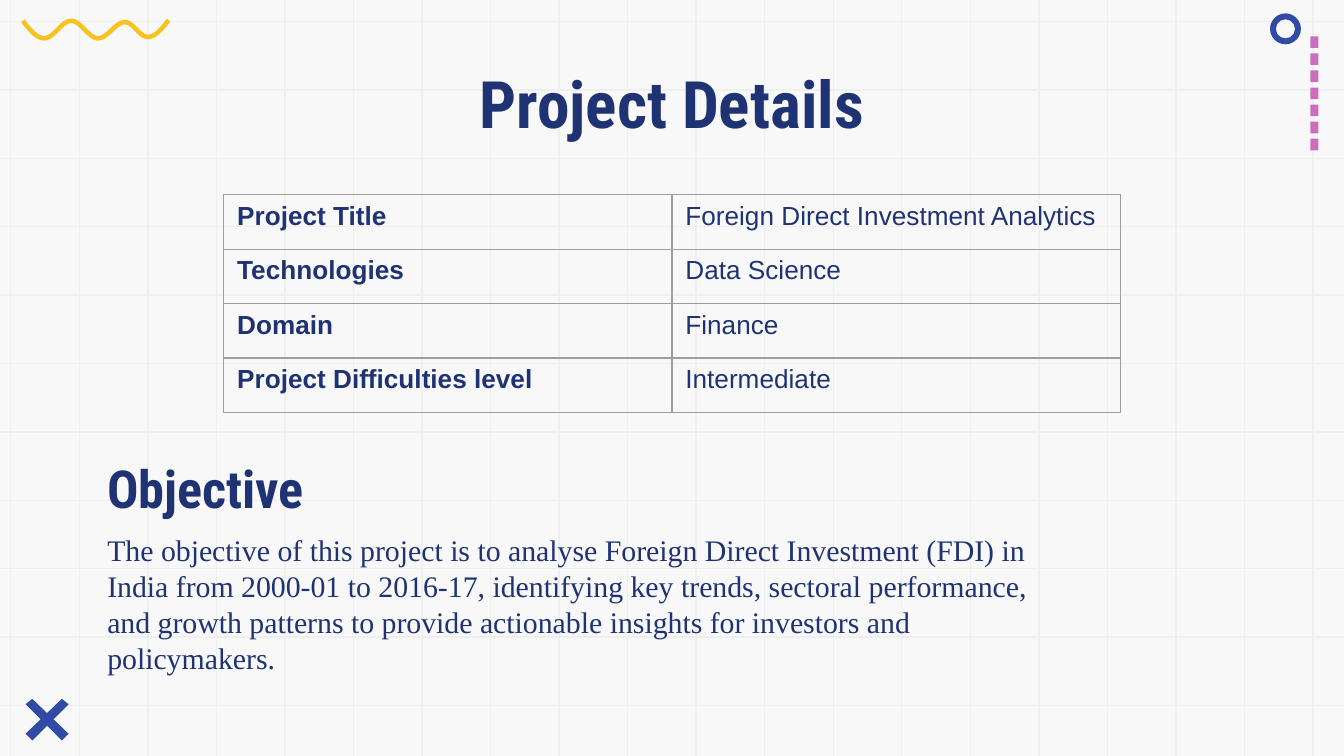
import math

from lxml import etree
from pptx import Presentation
from pptx.dml.color import RGBColor
from pptx.enum.shapes import MSO_CONNECTOR, MSO_SHAPE
from pptx.enum.text import MSO_ANCHOR, MSO_AUTO_SIZE, PP_ALIGN
from pptx.oxml.ns import qn
from pptx.util import Inches, Pt

STRAIGHT = MSO_CONNECTOR.STRAIGHT
RECTANGLE, DONUT = MSO_SHAPE.RECTANGLE, MSO_SHAPE.DONUT
TOP, NO_AUTOFIT = MSO_ANCHOR.TOP, MSO_AUTO_SIZE.NONE
LEFT, CENTER = PP_ALIGN.LEFT, PP_ALIGN.CENTER

PAPER = RGBColor(0xF8, 0xF8, 0xF8)
GRID_GRAY = RGBColor(0xEF, 0xEF, 0xEF)
BORDER_GRAY = RGBColor(0x9E, 0x9E, 0x9E)
NAVY = RGBColor(0x1F, 0x33, 0x74)
BLUE = RGBColor(0x30, 0x4B, 0xA6)
PINK = RGBColor(0xCB, 0x6E, 0xBE)
YELLOW = RGBColor(0xF8, 0xC2, 0x20)

HEADING_FONT, TABLE_FONT, BODY_FONT = "Roboto Condensed", "Arial", "Times New Roman"

COLUMNS, ROWS = 100, 56.25
UNIT = Inches(0.1)  # one square grid cell

DETAILS = [
    ("Project Title", "Foreign Direct Investment Analytics"),
    ("Technologies", "Data Science"),
    ("Domain", "Finance"),
    ("Project Difficulties level", "Intermediate"),
]
OBJECTIVE = (
    "The objective of this project is to analyse Foreign Direct Investment (FDI) in "
    "India from 2000-01 to 2016-17, identifying key trends, sectoral performance, "
    "and growth patterns to provide actionable insights for investors and policymakers."
)


def grid(*lengths):
    """Turn grid columns or rows into slide lengths."""
    return [round(length * UNIT) for length in lengths]


def write_text(frame, text, font, size, bold=False, align=LEFT):
    paragraph = frame.paragraphs[0]
    paragraph.alignment = align
    paragraph.line_spacing = 1.0
    run = paragraph.add_run()
    run.text = text
    run.font.name = font
    run.font.size = Pt(size)
    run.font.bold = bold
    run.font.color.rgb = NAVY


def add_cell_borders(cell):
    properties = cell._tc.get_or_add_tcPr()
    for index, side in enumerate(("a:lnL", "a:lnR", "a:lnT", "a:lnB")):
        line = etree.Element(qn(side), w=str(Pt(0.75)))
        fill = etree.SubElement(line, qn("a:solidFill"))
        etree.SubElement(fill, qn("a:srgbClr"), val=str(BORDER_GRAY))
        properties.insert(index, line)


def wave_points(extremes, steps=12):
    """Join alternating crests and troughs; the two outer arcs end on a slope."""
    points = [extremes[0]]
    last = len(extremes) - 2
    for index, ((x1, y1), (x2, y2)) in enumerate(zip(extremes, extremes[1:])):
        for step in range(1, steps + 1):
            share = step / steps
            if index == 0:
                rise = math.sin(share * math.pi / 2)
            elif index == last:
                rise = 1 - math.cos(share * math.pi / 2)
            else:
                rise = (1 - math.cos(share * math.pi)) / 2
            points.append((x1 + (x2 - x1) * share, y1 + (y2 - y1) * rise))
    return points


class SlideBuilder:
    """Holds the current slide and draws each kind of element in one style."""

    def __init__(self, presentation):
        self.slide = presentation.slides.add_slide(presentation.slide_layouts[5])
        self.shapes = self.slide.shapes
        self.slide.background.fill.solid()
        self.slide.background.fill.fore_color.rgb = PAPER

    def line(self, x1, y1, x2, y2):
        connector = self.shapes.add_connector(STRAIGHT, *grid(x1, y1, x2, y2))
        connector.line.color.rgb = GRID_GRAY
        connector.line.width = Pt(0.75)
        etree.SubElement(connector._element.spPr, qn("a:effectLst"))

    def paint(self, shape, color):
        shape.shadow.inherit = False
        shape.fill.solid()
        shape.fill.fore_color.rgb = color
        shape.line.fill.background()

    def shape(self, kind, left, top, width, height, color):
        shape = self.shapes.add_shape(kind, *grid(left, top, width, height))
        self.paint(shape, color)
        return shape

    def outline(self, points, closed):
        start, *others = [grid(*point) for point in points]
        builder = self.shapes.build_freeform(*start)
        builder.add_line_segments(others, close=closed)
        return builder.convert_to_shape()

    def polygon(self, points, color):
        self.paint(self.outline(points, closed=True), color)

    def curve(self, points, color, width):
        shape = self.outline(points, closed=False)
        shape.shadow.inherit = False
        shape.fill.background()
        shape.line.color.rgb = color
        shape.line.width = Pt(width)

    def title(self, text, left, top, width, height, **text_format):
        title = self.shapes.title
        title.left, title.top, title.width, title.height = grid(left, top, width, height)
        title._element.getparent().append(title._element)  # in front of the grid lines
        frame = title.text_frame
        frame.auto_size = NO_AUTOFIT
        frame.vertical_anchor = TOP
        frame.margin_left, frame.margin_top, frame.margin_right, frame.margin_bottom = grid(1, 1, 1, 1)
        write_text(frame, text, **text_format)

    def text(self, text, left, top, width, height, **text_format):
        frame = self.shapes.add_textbox(*grid(left, top, width, height)).text_frame
        frame.word_wrap = True
        write_text(frame, text, **text_format)

    def table(self, rows, left, top, width, row_height, **text_format):
        box = grid(left, top, width, row_height * len(rows))
        table = self.shapes.add_table(len(rows), len(rows[0]), *box).table
        table.first_row = table.horz_banding = False
        for row_index, row in enumerate(rows):
            for column_index, text in enumerate(row):
                cell = table.cell(row_index, column_index)
                cell.fill.background()
                add_cell_borders(cell)
                write_text(cell.text_frame, text, bold=column_index == 0, **text_format)


def draw_background(builder):
    for index in range(11):
        y = 1.6 + 5.09 * index
        builder.line(0, y, COLUMNS, y)
    for index in range(20):
        x = 0.8 + 5.1 * index
        builder.line(x, 0, x, ROWS)

    for index in range(7):
        builder.shape(RECTANGLE, 97.5, 2.7 + 1.27 * index, 0.6, 0.87, PINK)

    falling_bar = [(2.4, 52), (1.9, 52.4), (4.6, 55.1), (5.1, 54.6)]
    builder.polygon(falling_bar, BLUE)
    builder.polygon([(7 - x, y) for x, y in falling_bar], BLUE)

    extremes = [(1.7, 1.55), (3.3, 2.85), (5.3, 1.55), (7.3, 2.85),
                (9.3, 1.65), (11, 2.75), (12.55, 1.5)]
    builder.curve(wave_points(extremes), YELLOW, 2.4)

    ring = builder.shape(DONUT, 94.5, 1, 2.3, 2.3, BLUE)
    ring.adjustments[0] = 0.19


def main():
    presentation = Presentation()
    presentation.slide_width, presentation.slide_height = grid(COLUMNS, ROWS)
    builder = SlideBuilder(presentation)
    draw_background(builder)
    builder.title("Project Details", 18.55, 3.7, 62.9, 6.3,
                  font=HEADING_FONT, size=35, bold=True, align=CENTER)
    builder.table(DETAILS, 16.65, 14.5, 66.7, 4.05, font=TABLE_FONT, size=14)
    builder.text("Objective", 7, 33.45, 19.3, 5.7, font=HEADING_FONT, size=28, bold=True)
    builder.text(OBJECTIVE, 7, 39.1, 73.7, 11.8, font=BODY_FONT, size=16)
    presentation.save("out.pptx")


if __name__ == "__main__":
    main()
